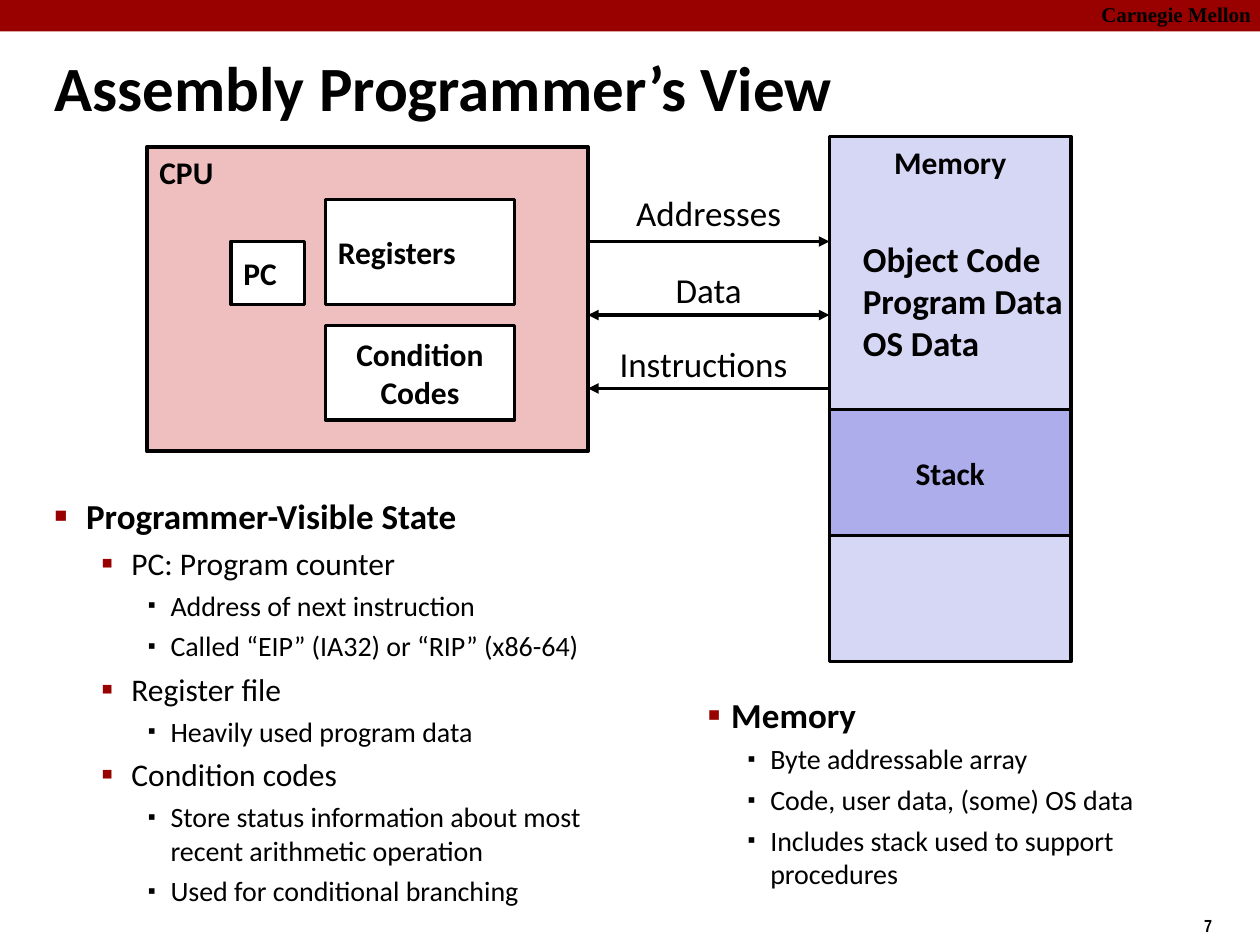
from dataclasses import dataclass

from lxml.etree import SubElement
from pptx import Presentation
from pptx.dml.color import RGBColor
from pptx.enum.shapes import MSO_CONNECTOR, MSO_SHAPE
from pptx.enum.text import MSO_ANCHOR, MSO_AUTO_SIZE, PP_ALIGN
from pptx.oxml.ns import qn
from pptx.util import Inches, Pt

LEFT, CENTER = PP_ALIGN.LEFT, PP_ALIGN.CENTER
TOP, MIDDLE = MSO_ANCHOR.TOP, MSO_ANCHOR.MIDDLE
COLS, ROWS = 120, 90


@dataclass(frozen=True)
class Theme:
    """Colours, fonts and type sizes of the slide."""
    ink: str = "000000"
    paper: str = "FFFFFF"
    accent: str = "990000"
    cpu: str = "EFBFBF"
    memory: str = "D6D6F5"
    stack: str = "ADADEB"
    font: str = "Calibri"
    brand_font: str = "Times New Roman"
    number_font: str = "Arial Narrow"
    title: int = 36
    head: int = 20
    label: int = 18
    detail: int = 16
    brand: int = 12
    number: int = 10


T = Theme()

BULLETS = {
    "head": dict(level=0, char="■", color=T.accent, scale=60, size=T.head, bold=True),
    "item": dict(level=1, char="▪", color=T.accent, scale=110, size=T.label, bold=False),
    "detail": dict(level=2, char="▪", color=T.ink, scale=80, size=T.detail, bold=False),
    "side": dict(level=1, char="▪", color=T.accent, scale=110, size=T.head, bold=True),
}
STATE_INDENTS = {"head": (0.25, 0.25), "item": (0.61, 0.24), "detail": (0.92, 0.18)}
MEMORY_INDENTS = {"side": (0.32, 0.19), "detail": (0.63, 0.18)}

STATE = [
    ("head", "Programmer-Visible State"),
    ("item", "PC: Program counter"),
    ("detail", "Address of next instruction"),
    ("detail", "Called “EIP” (IA32) or “RIP” (x86-64)"),
    ("item", "Register file"),
    ("detail", "Heavily used program data"),
    ("item", "Condition codes"),
    ("detail", "Store status information about most recent arithmetic operation"),
    ("detail", "Used for conditional branching"),
]
MEMORY = [
    ("side", "Memory"),
    ("detail", "Byte addressable array"),
    ("detail", "Code, user data, (some) OS data"),
    ("detail", "Includes stack used to support procedures"),
]


def grid(*cells):
    """Turn counts of grid cells, a twelfth of an inch each, into lengths."""
    return [Inches(c / 12) for c in cells]


def set_attrs(obj, values):
    """Set every attribute named in a dict of format values."""
    for name, value in values.items():
        setattr(obj, name, value)


def style_font(font, size, bold, name=T.font):
    """Give a font its size, weight, face and the ink colour."""
    set_attrs(font, dict(size=Pt(size), bold=bold, name=name))
    font.color.rgb = RGBColor.from_string(T.ink)


def write(tf, text, size, bold=True, align=LEFT, anchor=TOP, name=T.font):
    """Write one paragraph for each line of the text."""
    set_attrs(tf, dict(word_wrap=True, auto_size=MSO_AUTO_SIZE.NONE, vertical_anchor=anchor))
    for i, line in enumerate(text.split("\n")):
        p = tf.paragraphs[0] if i == 0 else tf.add_paragraph()
        p.alignment = align
        r = p.add_run()
        r.text = line
        style_font(r.font, size, bold, name)


def add_box(s, cells, fill, text="", align=LEFT, anchor=MIDDLE, line=2):
    """Draw a filled rectangle with an optional outline and label."""
    sp = s.shapes.add_shape(MSO_SHAPE.RECTANGLE, *grid(*cells))
    sp.shadow.inherit = False
    sp.fill.solid()
    sp.fill.fore_color.rgb = RGBColor.from_string(fill)
    if line:
        sp.line.color.rgb = RGBColor.from_string(T.ink)
        sp.line.width = Pt(line)
    else:
        sp.line.fill.background()
    if text:
        write(sp.text_frame, text, T.label, align=align, anchor=anchor)


def add_label(s, cells, text, size, **style):
    """Place free text on the grid."""
    write(s.shapes.add_textbox(*grid(*cells)).text_frame, text, size, **style)


def add_arrow(s, row, ends):
    """Join the CPU and memory along a row, with the given arrowheads."""
    x1, y, x2 = grid(56, row, 79)
    c = s.shapes.add_connector(MSO_CONNECTOR.STRAIGHT, x1, y, x2, y)
    c.line.color.rgb = RGBColor.from_string(T.ink)
    c.line.width = Pt(2)
    ln = c.line._get_or_add_ln()
    for end in ends:
        SubElement(ln, qn(f"a:{end}"), type="triangle")
    SubElement(c._element.spPr, qn("a:effectLst"))


def place(sp, cells):
    """Move a placeholder to its cells on the grid."""
    set_attrs(sp, dict(zip(("left", "top", "width", "height"), grid(*cells))))


def add_bullet(p, look, indent):
    """Give a paragraph its indents, bullet and tab stops."""
    pPr = p._p.get_or_add_pPr()
    margin, hang = indent
    pPr.set("marL", str(Inches(margin)))
    pPr.set("indent", str(-Inches(hang)))
    SubElement(SubElement(pPr, qn("a:buClr")), qn("a:srgbClr"), val=look["color"])
    SubElement(pPr, qn("a:buSzPct"), val=str(look["scale"] * 1000))
    SubElement(pPr, qn("a:buChar"), char=look["char"])
    tabs = SubElement(pPr, qn("a:tabLst"))
    for pos in (1.5, 5):
        SubElement(tabs, qn("a:tab"), pos=str(Inches(pos)), algn="l")


def fill_list(sp, cells, items, indents):
    """Fill a body placeholder with bulleted lines."""
    place(sp, cells)
    tf = sp.text_frame
    set_attrs(tf, dict(word_wrap=True, auto_size=MSO_AUTO_SIZE.NONE))
    for i, (kind, text) in enumerate(items):
        look = BULLETS[kind]
        p = tf.paragraphs[0] if i == 0 else tf.add_paragraph()
        set_attrs(p, dict(level=look["level"], space_before=Pt(4 if i else 0)))
        add_bullet(p, look, indents[kind])
        r = p.add_run()
        r.text = text
        style_font(r.font, look["size"], look["bold"])


def add_diagram(s):
    """Draw the CPU, the memory and the buses between them."""
    add_box(s, (14, 14, 42, 29), T.cpu, "CPU", anchor=TOP, line=2.25)
    add_box(s, (22, 23, 7, 6), T.paper, "PC")
    add_box(s, (31, 19, 18, 10), T.paper, "Registers")
    add_box(s, (31, 31, 18, 9), T.paper, "Condition\nCodes", CENTER)
    add_box(s, (79, 13, 23, 50), T.memory, "Memory", CENTER, TOP)
    add_box(s, (79, 39, 23, 12), T.stack, "Stack", CENTER)
    add_label(s, (81, 22, 23, 13.2), "Object Code\nProgram Data\nOS Data", T.head)
    buses = [
        ("Addresses", 17.6, 23, ["tailEnd"]),
        ("Data", 25, 23, ["headEnd", "tailEnd"]),
        ("Instructions", 32, 22, ["headEnd"]),
    ]
    for i, (text, top, width, ends) in enumerate(buses):
        add_arrow(s, 23 + 7 * i, ends)
        add_label(s, (56, top, width, 5.2), text, T.head, bold=False, align=CENTER)


def main():
    """Build the slide and save it."""
    prs = Presentation()
    prs.slide_width, prs.slide_height = grid(COLS, ROWS)
    s = prs.slides.add_slide(prs.slide_layouts[3])
    title, state, memory = s.placeholders
    place(title, (4, 4, 94.8, 7.6))
    write(title.text_frame, "Assembly Programmer’s View", T.title)
    fill_list(state, (4, 46.5, 57.2, 40.5), STATE, STATE_INDENTS)
    fill_list(memory, (64.6, 65.4, 53.5, 20.5), MEMORY, MEMORY_INDENTS)
    add_box(s, (0, 0, COLS, 3), T.accent, line=0)
    add_label(s, (103.7, -0.4, 17.2, 3.6), "Carnegie Mellon", T.brand, name=T.brand_font)
    add_label(s, (113.5, 86.6, 9, 3.2), "7", T.number, name=T.number_font)
    add_diagram(s)
    prs.save("out.pptx")


if __name__ == "__main__":
    main()
